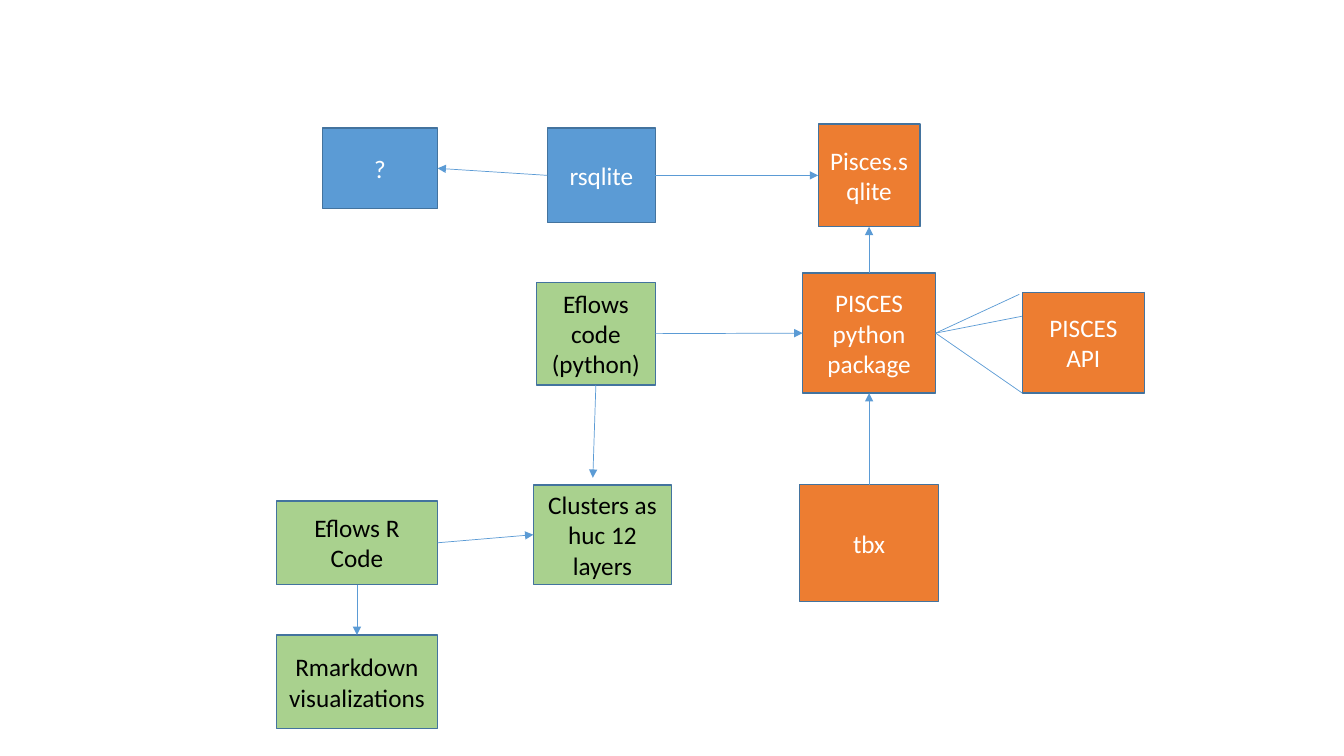
from lxml import etree
from pptx import Presentation
from pptx.dml.color import RGBColor
from pptx.enum.shapes import MSO_CONNECTOR, MSO_SHAPE
from pptx.enum.text import MSO_ANCHOR, PP_ALIGN
from pptx.oxml.ns import qn
from pptx.util import Inches, Pt

RECTANGLE = MSO_SHAPE.RECTANGLE
STRAIGHT = MSO_CONNECTOR.STRAIGHT
MIDDLE = MSO_ANCHOR.MIDDLE
CENTER = PP_ALIGN.CENTER
TOP, LEFT, BOTTOM, RIGHT = range(4)

COLORS = {
    "orange": "ED7D31",
    "blue": "5B9BD5",
    "green": "A9D18E",
    "outline": "43739E",
    "white": "FFFFFF",
    "black": "000000",
}


def color(name):
    return RGBColor.from_string(COLORS[name])


def add_node(page, box, text, fill):
    node = page.shapes.add_shape(RECTANGLE, *map(Inches, box))
    node.shadow.inherit = False
    node.fill.solid()
    node.fill.fore_color.rgb = color(fill)
    node.line.color.rgb = color("outline")
    node.line.width = Pt(1)
    frame = node.text_frame
    frame.word_wrap = True
    frame.vertical_anchor = MIDDLE
    para = frame.paragraphs[0]
    para.text = text
    para.alignment = CENTER
    para.font.name = "Calibri"
    para.font.size = Pt(18)
    para.font.color.rgb = color("black" if fill == "green" else "white")
    return node


def add_line(page, start=(0, 0), end=(0, 0), arrow=False):
    line = page.shapes.add_connector(STRAIGHT, *map(Inches, (*start, *end)))
    line.line.color.rgb = color("blue")
    line.line.width = Pt(0.5)
    if arrow:
        outline = line.line._get_or_add_ln()
        etree.SubElement(outline, qn("a:tailEnd"), type="triangle")
    etree.SubElement(line._element.spPr, qn("a:effectLst"))
    return line


def add_link(page, source, source_side, target, target_side):
    link = add_line(page, arrow=True)
    link.begin_connect(source, source_side)
    link.end_connect(target, target_side)


def add_pisces_column(page, box):
    left, top, width = box
    stack = [
        ("Pisces.sqlite", 0, 1.01, 1.02),
        ("PISCES python package", 1.48, 1.32, 1.19),
        ("tbx", 3.58, 1.38, 1.16),
    ]
    database, package, toolbox = [
        add_node(page, (left + (width - w) / 2, top + y, w, h), text, "orange")
        for text, y, w, h in stack
    ]
    add_link(page, toolbox, TOP, package, BOTTOM)
    add_link(page, package, TOP, database, BOTTOM)
    return database, package


def add_rsqlite_row(page, box, database):
    left, top = box
    unknown = add_node(page, (left, top, 1.14, 0.8), "?", "blue")
    rsqlite = add_node(page, (left + 2.23, top, 1.07, 0.94), "rsqlite", "blue")
    add_link(page, rsqlite, LEFT, unknown, RIGHT)
    add_link(page, rsqlite, RIGHT, database, LEFT)


def add_eflows_group(page, box, package):
    left, top = box
    nodes = [
        ("Eflows code (python)", 2.58, 0, 1.18, 1.02),
        ("Clusters as huc 12 layers", 2.55, 2.01, 1.37, 0.99),
        ("Eflows R Code", 0, 2.17, 1.6, 0.83),
        ("Rmarkdown visualizations", 0, 3.5, 1.6, 0.93),
    ]
    python_code, clusters, r_code, visuals = [
        add_node(page, (left + x, top + y, w, h), text, "green")
        for text, x, y, w, h in nodes
    ]
    add_link(page, python_code, RIGHT, package, LEFT)
    add_line(page, (left + 3.17, top + 1.02), (left + 3.14, top + 1.94), arrow=True)
    add_link(page, r_code, RIGHT, clusters, LEFT)
    add_link(page, r_code, BOTTOM, visuals, TOP)


def add_api_callout(page, box, package):
    left, top, width, height = box
    corners = [
        (left - 0.03, top + 0.02),
        (left, top + height),
        (left + width, top),
    ]
    for corner in corners:
        add_line(page, end=corner).begin_connect(package, RIGHT)
    add_node(page, box, "PISCES API", "orange")


deck = Presentation()
deck.slide_width = Inches(13.33)
deck.slide_height = Inches(7.5)
page = deck.slides.add_slide(deck.slide_layouts[6])
database, package = add_pisces_column(page, (7.93, 1.23, 1.38))
add_rsqlite_row(page, (3.2, 1.27), database)
add_eflows_group(page, (2.74, 2.8), package)
add_api_callout(page, (10.14, 2.9, 1.21, 1), package)
deck.save("out.pptx")
